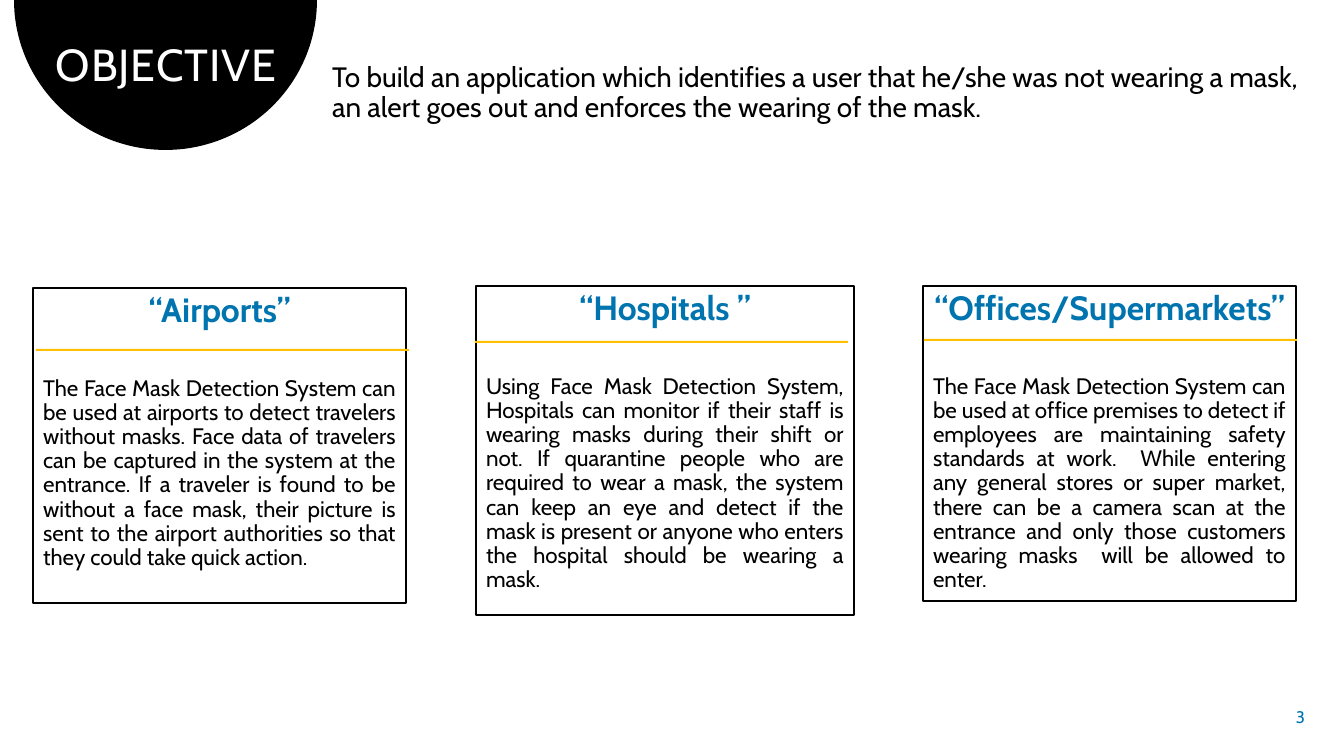
import math

from lxml import etree
from pptx import Presentation
from pptx.dml.color import RGBColor
from pptx.enum.shapes import MSO_SHAPE
from pptx.enum.text import MSO_ANCHOR, MSO_AUTO_SIZE, PP_ALIGN
from pptx.oxml.ns import qn
from pptx.util import Pt

PX = 914400 / 100.8
BLACK = RGBColor(0x00, 0x00, 0x00)
WHITE = RGBColor(0xFF, 0xFF, 0xFF)
BLUE = RGBColor(0x00, 0x74, 0xAF)
GOLD = RGBColor(0xFF, 0xC0, 0x00)
FONT = "Cabin"
RECTANGLE = MSO_SHAPE.RECTANGLE
TOP, MIDDLE = MSO_ANCHOR.TOP, MSO_ANCHOR.MIDDLE
NO_AUTOFIT = MSO_AUTO_SIZE.NONE
LEFT, CENTER, RIGHT, JUSTIFY = (
    PP_ALIGN.LEFT, PP_ALIGN.CENTER, PP_ALIGN.RIGHT, PP_ALIGN.JUSTIFY)
COMPARISON_LAYOUT = 4

PARAGRAPH = {"line_spacing": 0.9, "space_before": Pt(10), "space_after": Pt(0)}
TITLE = (dict(PARAGRAPH, alignment=CENTER, space_before=Pt(0)),
         {"size": Pt(32), "bold": False}, WHITE)
INTRO = (dict(PARAGRAPH, alignment=LEFT), {"size": Pt(20), "bold": False}, BLACK)
HEADING = (dict(PARAGRAPH, alignment=CENTER, space_after=Pt(24)),
           {"size": Pt(24), "bold": True}, BLUE)
DETAIL = (dict(PARAGRAPH, alignment=JUSTIFY, space_after=Pt(12)),
          {"size": Pt(16), "bold": False}, BLACK)
PAGE_NUMBER = ({"alignment": RIGHT}, {"size": Pt(12), "bold": False}, BLUE)

# box, offset of the gold rule from the box corner, heading, detail
CARDS = [
    ((33, 288, 373, 315), (3, 61), "“Airports”",
     "The Face Mask Detection System can be used at airports to detect travelers "
     "without masks. Face data of travelers can be captured in the system at the "
     "entrance. If a traveler is found to be without a face mask, their picture is "
     "sent to the airport authorities so that they could take quick action."),
    ((476, 286, 378, 329), (-1, 55), "“Hospitals ”",
     "Using Face Mask Detection System, Hospitals can monitor if their staff is "
     "wearing masks during their shift or not. If quarantine people who are required "
     "to wear a mask, the system can keep an eye and detect if the mask is present or "
     "anyone who enters the hospital should be wearing a mask."),
    ((923, 286, 373, 315), (1, 53), "“Offices/Supermarkets”",
     "The Face Mask Detection System can be used at office premises to detect if "
     "employees are maintaining safety standards at work.  While entering any general "
     "stores or super market, there can be a camera scan at the entrance and only those "
     "customers wearing masks  will be allowed to enter."),
]


def emu(*lengths):
    return [round(length * PX) for length in lengths]


def set_values(target, values):
    for name, value in values.items():
        setattr(target, name, value)


def place(shape, box):
    set_values(shape, dict(zip(("left", "top", "width", "height"), emu(*box))))


def write(shape, *texts, anchor=TOP, wrap=True):
    """Fill a shape with (text, style) paragraphs, without bullets or indents."""
    frame = shape.text_frame
    set_values(frame, {"word_wrap": wrap, "auto_size": NO_AUTOFIT,
                       "vertical_anchor": anchor})
    for index, (text, style) in enumerate(texts):
        paragraph = frame.add_paragraph() if index else frame.paragraphs[0]
        paragraph_format, font_format, color = style
        run = paragraph.add_run()
        run.text = text
        set_values(paragraph, paragraph_format)
        set_values(run.font, dict(font_format, name=FONT))
        run.font.color.rgb = color
        properties = paragraph._p.get_or_add_pPr()
        properties.set("marL", "0")
        properties.set("indent", "0")
        etree.SubElement(properties, qn("a:buNone"))


def fill_plain(shape, color):
    shape.shadow.inherit = False
    shape.fill.solid()
    shape.fill.fore_color.rgb = color
    shape.line.fill.background()


def add_title_disc(slide, box):
    """Draw a half disc hanging from the top edge of its box, with the title on it."""
    left, top, width, height = box
    steps = 90
    points = []
    for step in range(steps + 1):
        angle = math.pi * step / steps
        points.append(emu(left + width / 2 * (1 + math.cos(angle)),
                          top + height * math.sin(angle)))
    builder = slide.shapes.build_freeform(*points[0])
    builder.add_line_segments(points[1:])
    disc = builder.convert_to_shape()
    fill_plain(disc, BLACK)

    title = slide.shapes.title
    title._element.addprevious(disc._element)
    place(title, (left + 21, top + 37, width - 41, 60))
    write(title, ("OBJECTIVE", TITLE), anchor=MIDDLE)
    title.text_frame.paragraphs[0].runs[0].font._element.set("spc", "60")


def add_intro(placeholder, box):
    place(placeholder, box)
    write(placeholder, (
        "To build an application which identifies a user that he/she was not wearing "
        "a mask, an alert goes out and enforces the wearing of the mask.", INTRO))


def add_card(slide, placeholder, box, rule_offset, heading, detail):
    place(placeholder, box)
    placeholder.fill.solid()
    placeholder.fill.fore_color.rgb = WHITE
    placeholder.line.color.rgb = BLACK
    placeholder.line.width = Pt(1)
    write(placeholder, (heading, HEADING), (detail, DETAIL))
    rule = slide.shapes.add_shape(
        RECTANGLE, *emu(box[0] + rule_offset[0], box[1] + rule_offset[1], 373, 2))
    fill_plain(rule, GOLD)


def add_page_number(slide, box):
    number = slide.shapes.add_textbox(*emu(*box))
    write(number, ("3", PAGE_NUMBER), anchor=MIDDLE)


def main():
    presentation = Presentation()
    presentation.slide_width, presentation.slide_height = emu(1344, 756)
    slide = presentation.slides.add_slide(
        presentation.slide_layouts[COMPARISON_LAYOUT])
    intro, *card_bodies = list(slide.placeholders)[1:]
    add_title_disc(slide, (14, 0, 303, 150))
    add_intro(intro, (322, 58, 1001, 72))
    for body, card in zip(card_bodies, CARDS):
        add_card(slide, body, *card)
    add_page_number(slide, (1260, 697, 55, 40))
    presentation.save("out.pptx")


if __name__ == "__main__":
    main()
